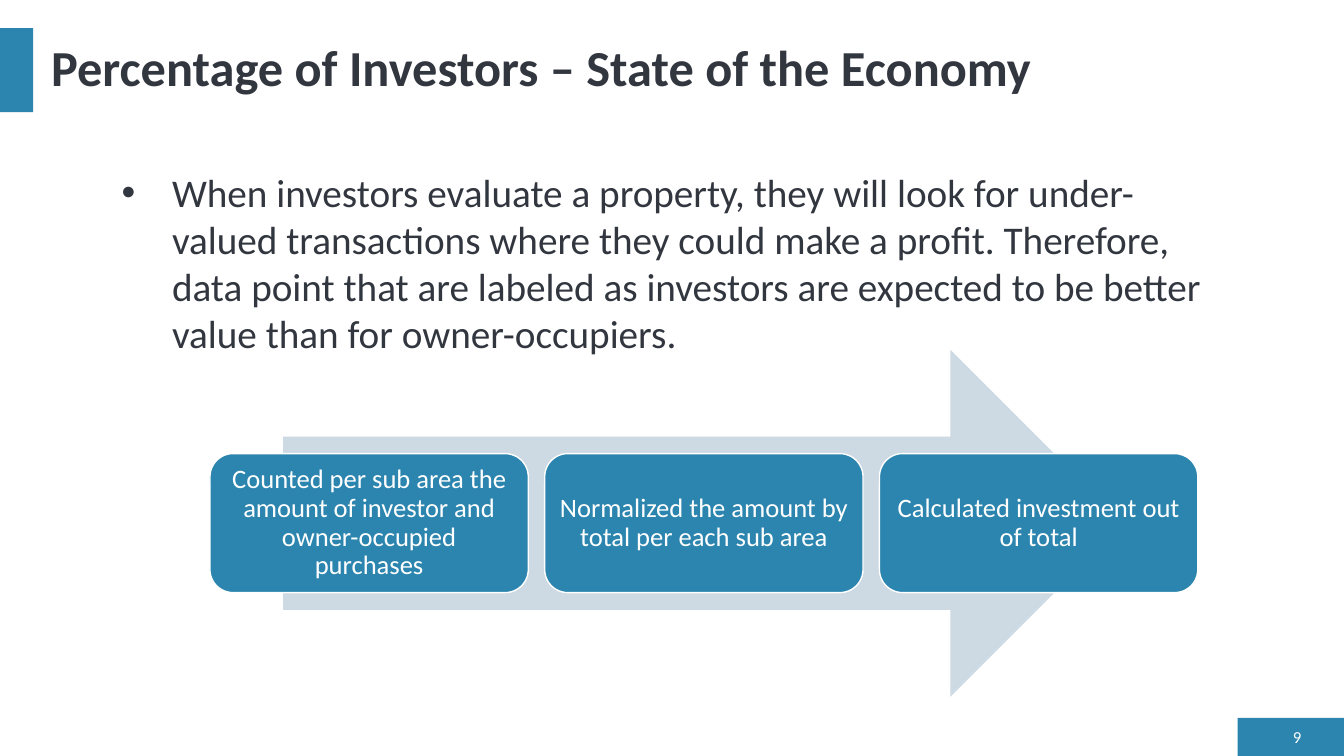
from pptx import Presentation
from pptx.dml.color import RGBColor
from pptx.enum.shapes import MSO_SHAPE as Preset
from pptx.enum.text import MSO_ANCHOR as Anchor, PP_ALIGN as Align
from pptx.oxml.ns import qn
from pptx.util import Inches, Pt
from lxml.etree import SubElement

BLUE, PALE, INK, WHITE = "2C85AE", "CDD9E3", "32363F", "FFFFFF"
COLUMNS, ROWS = 32, 18


def color(code):
    return RGBColor.from_string(code)


def write(frame, words, size, ink=INK, bold=False, align=Align.LEFT,
          anchor=Anchor.MIDDLE, spacing=None, inset=None, bullet_indent=None):
    frame.word_wrap = True
    frame.vertical_anchor = anchor
    if inset is not None:
        frame.margin_left = frame.margin_right = Inches(inset)
        frame.margin_top = frame.margin_bottom = Inches(inset)
    paragraph = frame.paragraphs[0]
    paragraph.alignment = align
    paragraph.line_spacing = spacing
    run = paragraph.add_run()
    run.text = words
    run.font.name = "Calibri"
    run.font.size = Pt(size)
    run.font.bold = bold
    run.font.color.rgb = color(ink)
    if bullet_indent:
        properties = paragraph._p.get_or_add_pPr()
        properties.set("marL", str(Inches(bullet_indent)))
        properties.set("indent", str(-Inches(bullet_indent)))
        SubElement(properties, qn("a:buFont")).set("typeface", "Arial")
        SubElement(properties, qn("a:buChar")).set("char", "•")


class GridSlide:
    def __init__(self, deck):
        self.slide = deck.slides.add_slide(deck.slide_layouts[6])
        self.column = deck.slide_width / COLUMNS
        self.row = deck.slide_height / ROWS

    def place(self, left, top, width, height):
        return (round(left * self.column), round(top * self.row),
                round(width * self.column), round(height * self.row))

    def block(self, cell, fill, preset=Preset.RECTANGLE, outline=None):
        block = self.slide.shapes.add_shape(preset, *self.place(*cell))
        block.shadow.inherit = False
        block.fill.solid()
        block.fill.fore_color.rgb = color(fill)
        if outline:
            block.line.color.rgb = color(outline)
            block.line.width = Pt(1)
        else:
            block.line.fill.background()
        return block

    def text(self, cell, words, size, **style):
        box = self.slide.shapes.add_textbox(*self.place(*cell))
        write(box.text_frame, words, size, **style)

    def step(self, cell, words):
        card = self.block(cell, BLUE, Preset.ROUNDED_RECTANGLE, WHITE)
        write(card.text_frame, words, 19, ink=WHITE, align=Align.CENTER,
              spacing=0.9, inset=0.08)


def main():
    deck = Presentation()
    deck.slide_width, deck.slide_height = Inches(13.33), Inches(7.5)
    page = GridSlide(deck)

    page.block((29.47, 17.09, 2.53, 0.91), BLUE)
    page.block((0, 0.67, 0.79, 2), BLUE)
    page.text((0.98, 0.67, 30.24, 2),
              "Percentage of Investors – State of the Economy",
              36, bold=True, spacing=0.9)
    page.text((30.24, 17.28, 0.98, 0.55), "9", 12, ink=WHITE, align=Align.RIGHT)

    page.block((6.74, 8.33, 20.02, 8.26), PALE, Preset.RIGHT_ARROW)
    steps = (
        "Counted per sub area the amount of investor and owner-occupied purchases",
        "Normalized the amount by total per each sub area",
        "Calculated investment out of total",
    )
    first_left, step_width, gap = 5, 7.58, 0.39
    for index, words in enumerate(steps):
        left = first_left + index * (step_width + gap)
        page.step((left, 10.8, step_width, 3.31), words)

    page.text((2.66, 3.89, 26.4, 5.5),
              "When investors evaluate a property, they will look for "
              "under-valued transactions where they could make a profit. "
              "Therefore, data point that are labeled as investors are "
              "expected to be better value than for owner-occupiers.",
              28, anchor=Anchor.TOP, bullet_indent=0.5)

    deck.save("out.pptx")


if __name__ == "__main__":
    main()
